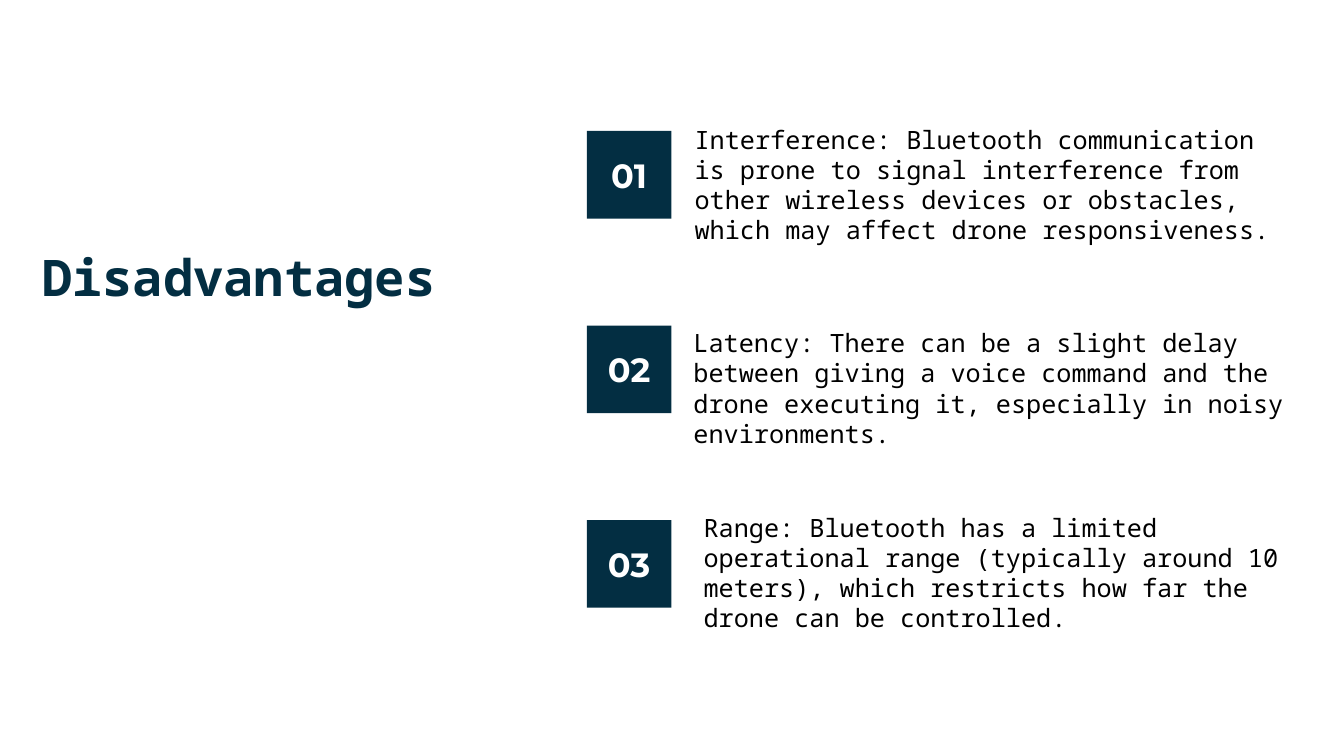
import dataclasses

import pptx
import pptx.dml.color
import pptx.enum.shapes
import pptx.enum.text
import pptx.util


@dataclasses.dataclass(frozen=True)
class Theme:
    """Colours and type formats of the deck."""
    navy: str = "032E42"
    title: tuple = (("name", "Noto Sans Mono"), ("size", 36), ("bold", True), ("color", "032E42"))
    number: tuple = (("name", "Montserrat"), ("size", 24), ("bold", True), ("color", "FFFFFF"))
    body: tuple = (("name", "Noto Sans Mono"), ("size", 18), ("bold", False), ("color", "000000"))


@dataclasses.dataclass(frozen=True)
class Box:
    """A rectangle in percent of the slide's width and height."""
    left: float
    top: float
    width: float
    height: float

    def place(self):
        """Return left, top, width and height as slide lengths."""
        return (int(SLIDE_WIDTH * self.left / 100), int(SLIDE_HEIGHT * self.top / 100),
                int(SLIDE_WIDTH * self.width / 100), int(SLIDE_HEIGHT * self.height / 100))


@dataclasses.dataclass(frozen=True)
class Item:
    """A numbered point, with its text's offset from the row and its text height."""
    text: str
    shift_x: float
    shift_y: float
    height: float


SLIDE_WIDTH = pptx.util.Inches(13.33)
SLIDE_HEIGHT = pptx.util.Inches(7.5)
THEME = Theme()
BADGE_WIDTH, BADGE_HEIGHT = 6.3, 11.6
ITEMS = (
    Item("Interference: Bluetooth communication is prone to signal interference from other "
         "wireless devices or obstacles, which may affect drone responsiveness.",
         7.28, -1.6, 14.4),
    Item("Latency: There can be a slight delay between giving a voice command and the drone "
         "executing it, especially in noisy environments.",
         7.2, -0.4, 14.27),
    Item("Range: Bluetooth has a limited operational range (typically around 10 meters), "
         "which restricts how far the drone can be controlled.",
         7.95, -1.73, 21.47),
)


def write_text(frame, text, style):
    """Put one styled paragraph into a text frame and return it."""
    frame.word_wrap = True
    para = frame.paragraphs[0]
    span = para.add_run()
    span.text = text
    values = dict(style)
    span.font.color.rgb = pptx.dml.color.RGBColor.from_string(values.pop("color"))
    values["size"] = pptx.util.Pt(values["size"])
    for name, value in values.items():
        setattr(span.font, name, value)
    return para


def add_text(page, box, text, style):
    """Add a text box that grows with its text."""
    frame = page.shapes.add_textbox(*box.place()).text_frame
    write_text(frame, text, style)
    frame.auto_size = pptx.enum.text.MSO_AUTO_SIZE.SHAPE_TO_FIT_TEXT


def add_badge(page, box, number):
    """Add a filled rectangle with a two-digit number."""
    badge = page.shapes.add_shape(pptx.enum.shapes.MSO_SHAPE.RECTANGLE, *box.place())
    badge.shadow.inherit = False
    badge.fill.solid()
    badge.fill.fore_color.rgb = pptx.dml.color.RGBColor.from_string(THEME.navy)
    badge.line.fill.background()
    badge.text_frame.vertical_anchor = pptx.enum.text.MSO_ANCHOR.MIDDLE
    para = write_text(badge.text_frame, f"{number:02d}", THEME.number)
    para.alignment = pptx.enum.text.PP_ALIGN.CENTER


def add_numbered_list(page, box, items):
    """Stack badge and text rows evenly down the box."""
    pitch = box.height / len(items)
    for index, item in enumerate(items):
        top = box.top + index * pitch
        add_badge(page, Box(box.left, top, BADGE_WIDTH, BADGE_HEIGHT), index + 1)
        text_box = Box(box.left + item.shift_x, top + item.shift_y,
                       box.width - item.shift_x, item.height)
        add_text(page, text_box, item.text, THEME.body)


def main():
    """Build and save the deck."""
    deck = pptx.Presentation()
    deck.slide_width, deck.slide_height = SLIDE_WIDTH, SLIDE_HEIGHT
    page = deck.slides.add_slide(deck.slide_layouts[6])
    add_text(page, Box(2.4, 31.87, 33.45, 9.47), "Disadvantages", THEME.title)
    add_numbered_list(page, Box(43.66, 17.33, 52.88, 77.2), ITEMS)
    deck.save("out.pptx")


if __name__ == "__main__":
    main()
